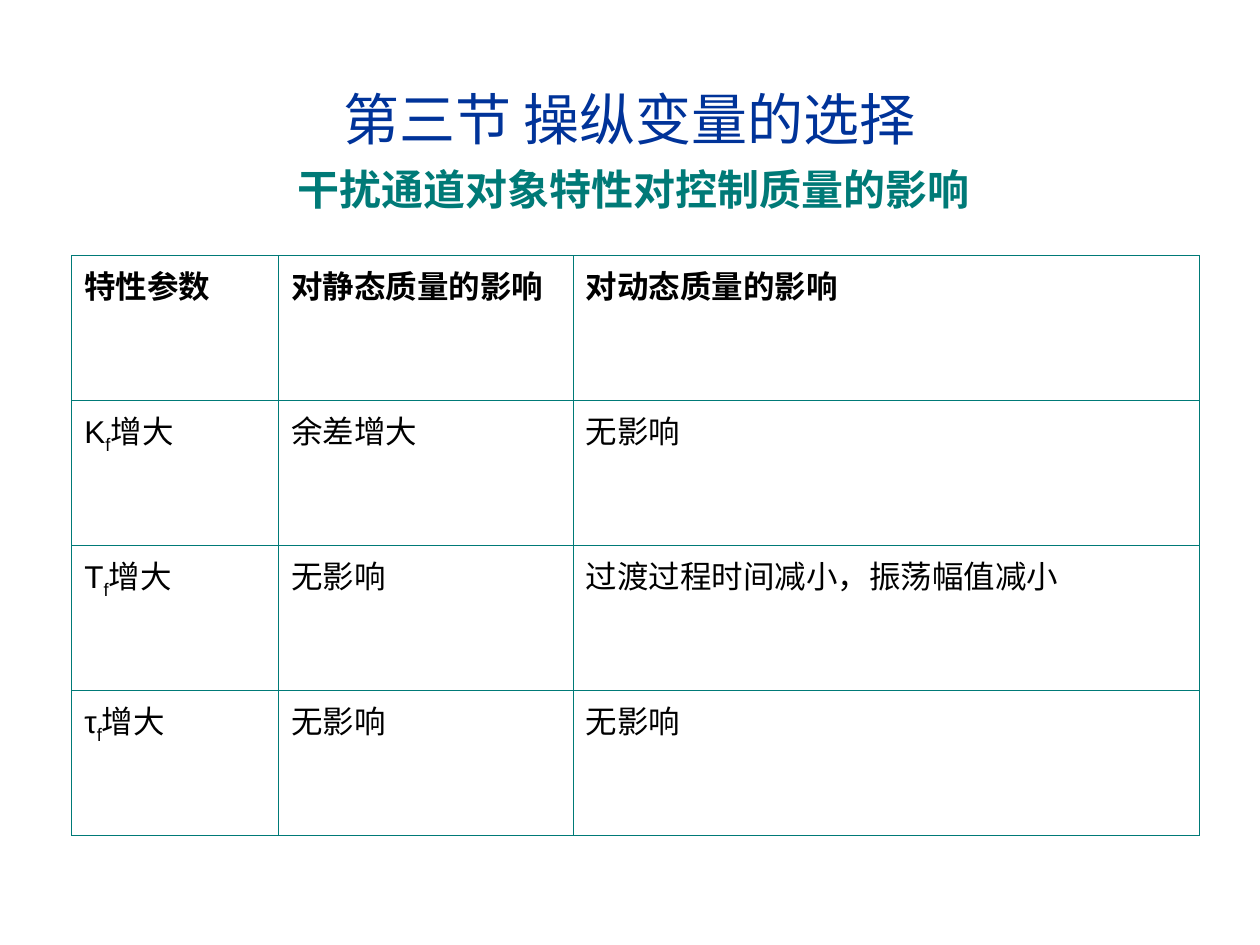
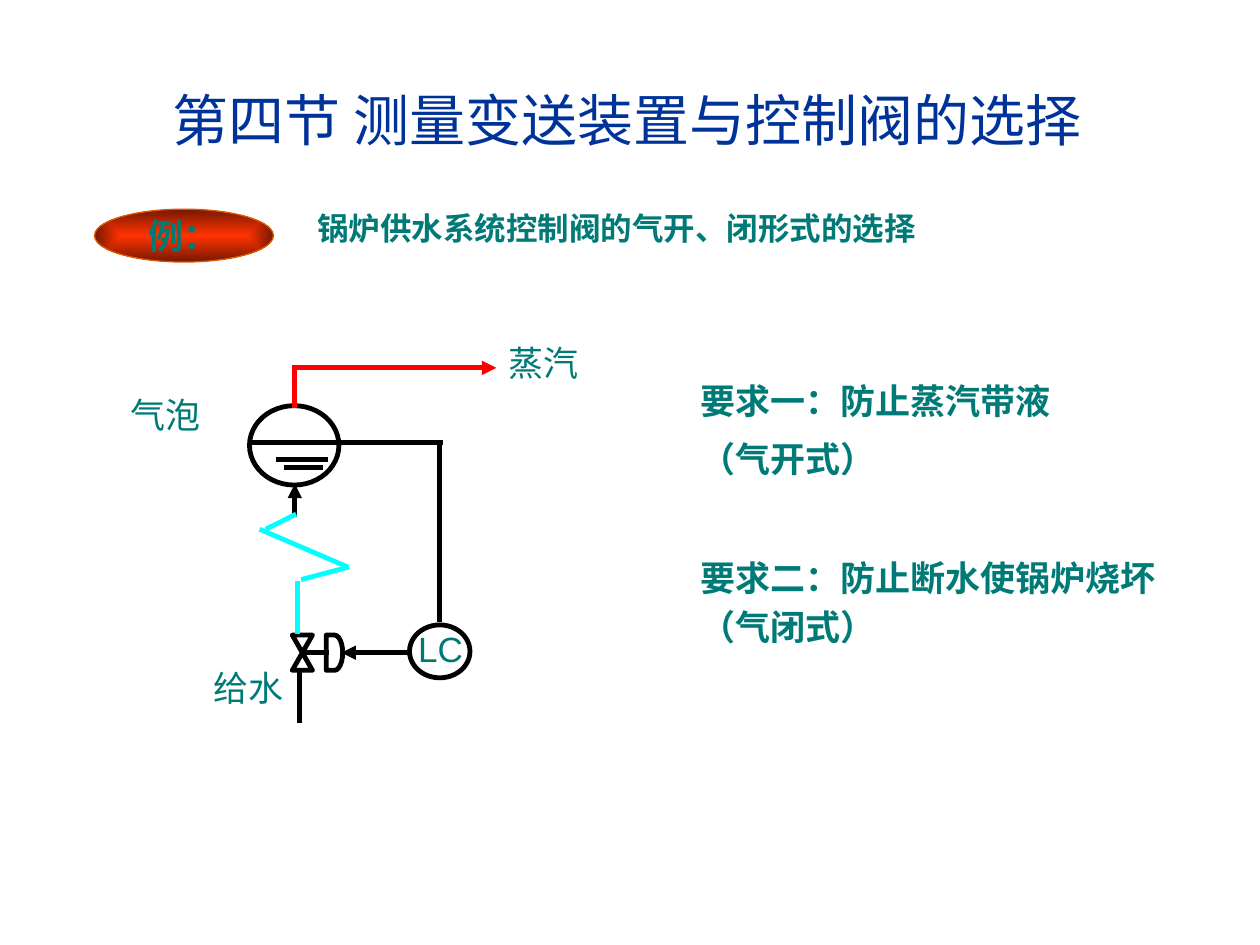
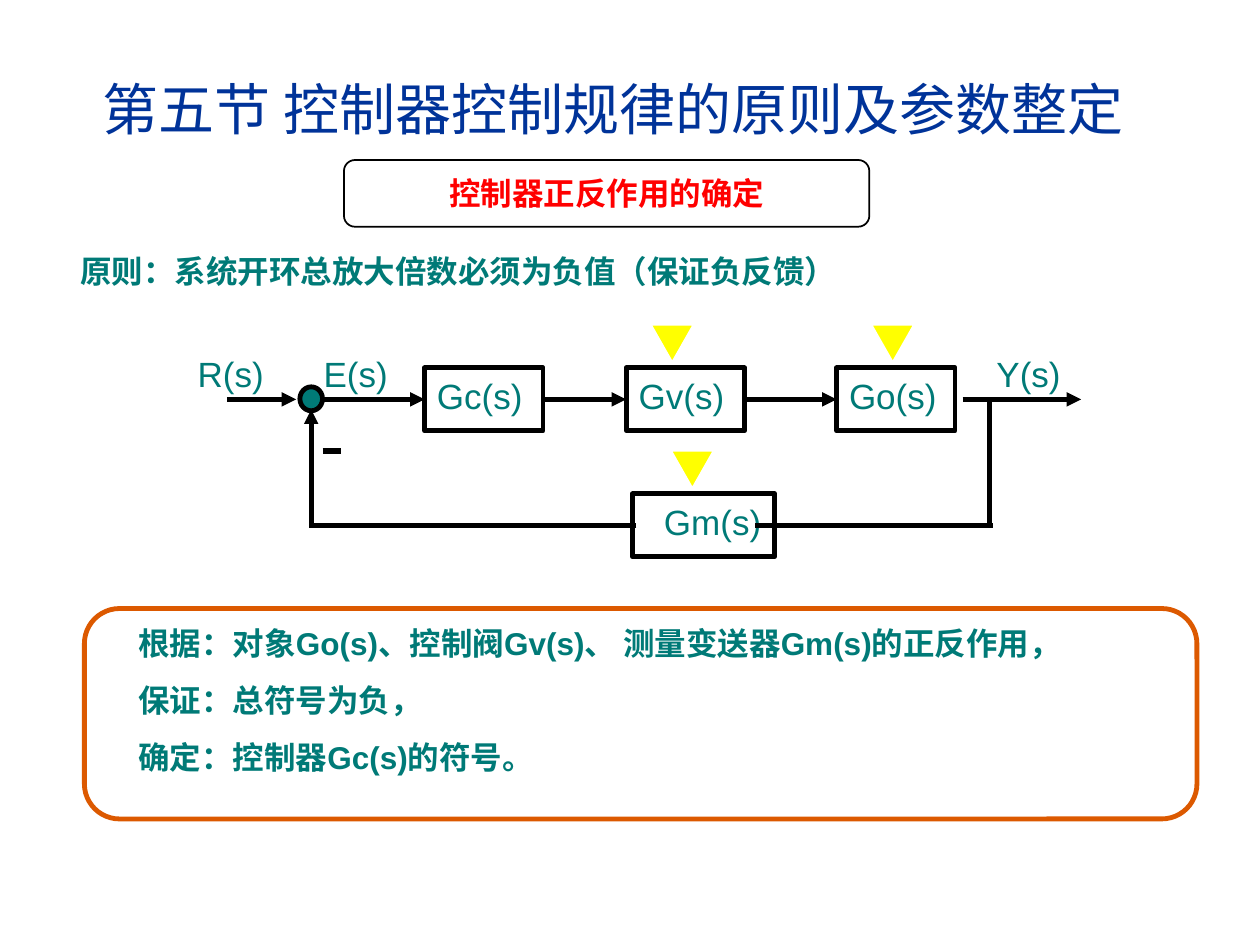
from lxml.etree import SubElement
from pptx import Presentation
from pptx.dml.color import RGBColor
from pptx.enum.shapes import MSO_CONNECTOR, MSO_SHAPE
from pptx.enum.text import MSO_ANCHOR, PP_ALIGN
from pptx.oxml import parse_xml
from pptx.oxml.ns import nsdecls, qn
from pptx.util import Inches, Pt

FONT = "Arial"
NAVY, TEAL, BLACK, WHITE = "003399", "007A77", "000000", "FFFFFF"
RED, CYAN, YELLOW, ORANGE = "FF0000", "00FFFF", "FFFF00", "DC5900"
GLOW, EMBER = "FF3300", "761800"
STROKE = 2.75

# Slide 1: a cell is a string, or a (symbol, subscript, rest) tuple
COLUMN_WIDTHS = [1.64, 2.34, 4.97]
ROW_HEIGHT = 1.15
EFFECTS = [
    ["特性参数", "对静态质量的影响", "对动态质量的影响"],
    [("K", "f", "增大"), "余差增大", "无影响"],
    [("T", "f", "增大"), "无影响", "过渡过程时间减小，振荡幅值减小"],
    [("τ", "f", "增大"), "无影响", "无影响"],
]

# Slide 2: shapes as (preset, left, top, width, height)
BOILER_SHAPES = [
    (MSO_SHAPE.OVAL, 1.98, 3.22, 0.71, 0.63),
    (MSO_SHAPE.FLOWCHART_COLLATE, 2.32, 5.04, 0.16, 0.28),
    (MSO_SHAPE.FLOWCHART_DELAY, 2.59, 5.04, 0.13, 0.28),
    (MSO_SHAPE.OVAL, 3.25, 4.96, 0.48, 0.42),
]
# Pipes as (x1, y1, x2, y2, colour, has arrowhead)
BOILER_PIPES = [
    (2, 3.51, 3.52, 3.51, BLACK, False),
    (2.19, 3.65, 2.6, 3.65, BLACK, False),
    (2.25, 3.71, 2.56, 3.71, BLACK, False),
    (2.34, 3.24, 2.34, 2.9, RED, False),
    (2.35, 2.92, 3.94, 2.92, RED, True),
    (2.34, 4.1, 2.34, 3.84, BLACK, True),
    (2.36, 5.03, 2.36, 4.61, CYAN, False),
    (2.39, 5.18, 2.61, 5.18, BLACK, False),
    (2.38, 5.74, 2.38, 5.3, BLACK, False),
    (2.39, 4.6, 2.77, 4.5, CYAN, False),
    (2.76, 4.5, 2.06, 4.2, CYAN, False),
    (2.11, 4.2, 2.35, 4.08, CYAN, False),
    (3.25, 5.18, 2.71, 5.18, BLACK, True),
    (3.49, 4.94, 3.49, 3.49, BLACK, False),
]
BOILER_LABELS = [
    ("蒸汽", 3.94, 2.66), ("气泡", 0.94, 3.07),
    ("给水", 1.6, 5.24), ("LC", 3.22, 4.93),
]
REQUIREMENTS = [
    ("要求一：防止蒸汽带液", 2.96), ("（气开式）", 3.42),
    ("要求二：防止断水使锅炉烧坏", 4.37), ("（气闭式）", 4.76),
]

# Slide 3
FORWARD_Y, FEEDBACK_Y = 3.17, 4.17
BLOCK_HEIGHT = 0.5
# name, left, width, middle, left inset, right inset
BLOCKS = [
    ("Gc(s)", 3.37, 0.94, FORWARD_Y, 0.1, 0.1),
    ("Gv(s)", 4.97, 0.94, FORWARD_Y, 0.1, 0.1),
    ("Go(s)", 6.64, 0.94, FORWARD_Y, 0.1, 0.1),
    ("Gm(s)", 5.02, 1.13, FEEDBACK_Y, 0.25, 0),
]
SIGNALS = [("R(s)", 1.47), ("E(s)", 2.47), ("Y(s)", 7.81)]
MARKERS = [(6.92, 2.58), (5.17, 2.58), (5.33, 3.58)]
LOOP_LINES = [
    (1.8, FORWARD_Y, 2.35, FORWARD_Y, True),
    (7.64, FORWARD_Y, 8.58, FORWARD_Y, True),
    (7.85, FORWARD_Y, 7.85, FEEDBACK_Y, False),
    (7.88, FEEDBACK_Y, 5.99, FEEDBACK_Y, False),
    (5.05, FEEDBACK_Y, 2.45, FEEDBACK_Y, False),
    (2.47, FEEDBACK_Y, 2.47, 3.25, True),
]
STEPS = [
    "根据：对象Go(s)、控制阀Gv(s)、 测量变送器Gm(s)的正反作用，",
    "保证：总符号为负，",
    "确定：控制器Gc(s)的符号。",
]


def rgb(colour):
    return RGBColor.from_string(colour)


def write(frame, lines, size=20, colour=TEAL, bold=False, align=PP_ALIGN.LEFT,
          anchor=MSO_ANCHOR.TOP, gap=0, left_inset=0.1, right_inset=0.1):
    """Fill a text frame; a line is a string or (symbol, subscript, rest)."""
    frame.word_wrap = True
    frame.vertical_anchor = anchor
    frame.margin_left, frame.margin_right = Inches(left_inset), Inches(right_inset)
    frame.margin_top = frame.margin_bottom = Inches(0.05)
    for number, line in enumerate(lines):
        para = frame.add_paragraph() if number else frame.paragraphs[0]
        para.alignment = align
        if number:
            para.space_before = Pt(gap)
        pieces = (line,) if isinstance(line, str) else line
        for position, piece in enumerate(pieces):
            span = para.add_run()
            span.text = piece
            span.font.name, span.font.size = FONT, Pt(size)
            span.font.bold = bold
            span.font.color.rgb = rgb(colour)
            if position == 1:
                span.font._element.set("baseline", "-25000")


def add_text(page, lines, left, top, width, height=0.44, **style):
    box = page.shapes.add_textbox(*map(Inches, (left, top, width, height)))
    write(box.text_frame, [lines] if isinstance(lines, str) else lines, **style)


def add_title(page, text, left, top, width, height, **style):
    add_text(page, text, left, top, width, height, size=32, colour=NAVY,
             align=PP_ALIGN.CENTER, **style)


def add_outline(page, preset, left, top, width, height, line=BLACK,
                weight=STROKE, fill=None):
    shape = page.shapes.add_shape(preset, *map(Inches, (left, top, width, height)))
    shape.shadow.inherit = False
    shape.line.color.rgb = rgb(line)
    shape.line.width = Pt(weight)
    if fill:
        shape.fill.solid()
        shape.fill.fore_color.rgb = rgb(fill)
    else:
        shape.fill.background()
    return shape


def add_line(page, x1, y1, x2, y2, colour=BLACK, arrow=False, weight=STROKE):
    line = page.shapes.add_connector(
        MSO_CONNECTOR.STRAIGHT, *map(Inches, (x1, y1, x2, y2)))
    line.line.color.rgb = rgb(colour)
    line.line.width = Pt(weight)
    if arrow:
        SubElement(line.line._get_or_add_ln(), qn("a:tailEnd"), type="triangle")
    SubElement(line._element.spPr, qn("a:effectLst"))
    return line


def glow_from_centre(shape, inner, outer):
    """Give a shape a gradient that runs from its centre to its edges."""
    properties = shape._element.spPr
    properties.replace(properties.find(qn("a:noFill")), parse_xml(
        f'<a:gradFill {nsdecls("a")} rotWithShape="1"><a:gsLst>'
        f'<a:gs pos="0"><a:srgbClr val="{inner}"/></a:gs>'
        f'<a:gs pos="100000"><a:srgbClr val="{outer}"/></a:gs></a:gsLst>'
        '<a:path path="rect"><a:fillToRect l="50000" t="50000" r="50000" '
        'b="50000"/></a:path></a:gradFill>'))


def add_borders(cell, colour, weight):
    properties = cell._tc.get_or_add_tcPr()
    for position, side in enumerate(("lnL", "lnR", "lnT", "lnB")):
        properties.insert(position, parse_xml(
            f'<a:{side} {nsdecls("a")} w="{Pt(weight)}"><a:solidFill>'
            f'<a:srgbClr val="{colour}"/></a:solidFill></a:{side}>'))


def build_disturbance_slide(page):
    add_title(page, "第三节 操纵变量的选择", 0.33, 0.31, 9.34, 1.25,
              anchor=MSO_ANCHOR.MIDDLE)
    add_text(page, "干扰通道对象特性对控制质量的影响", 2.11, 1.25, 5.84, 0.5,
             size=24, bold=True, align=PP_ALIGN.CENTER)
    table = page.shapes.add_table(
        len(EFFECTS), len(COLUMN_WIDTHS), Inches(0.57), Inches(2.03),
        Inches(sum(COLUMN_WIDTHS)), Inches(ROW_HEIGHT * len(EFFECTS))).table
    table.first_row = table.horz_banding = False
    for column, width in zip(table.columns, COLUMN_WIDTHS):
        column.width = Inches(width)
    for row_number, row in enumerate(EFFECTS):
        table.rows[row_number].height = Inches(ROW_HEIGHT)
        for column_number, content in enumerate(row):
            cell = table.cell(row_number, column_number)
            write(cell.text_frame, [content], size=18, colour=BLACK,
                  bold=row_number == 0)
            cell.fill.background()
            add_borders(cell, TEAL, 0.45)


def build_valve_slide(page):
    for preset, *place in BOILER_SHAPES:
        add_outline(page, preset, *place)
    for pipe in BOILER_PIPES:
        add_line(page, *pipe)
    for text, left, top in BOILER_LABELS:
        add_text(page, text, left, top, 0.9)
    badge = add_outline(page, MSO_SHAPE.OVAL, 0.75, 1.66, 1.42, 0.42,
                        line=ORANGE, weight=0.75)
    glow_from_centre(badge, GLOW, EMBER)
    add_text(page, "例：", 1.08, 1.65, 1, bold=True)
    add_text(page, "锅炉供水系统控制阀的气开、闭形式的选择", 2.42, 1.61, 5.26, 0.4,
             size=18, bold=True)
    for text, top in REQUIREMENTS:
        add_text(page, text, 5.46, top, 3.95, bold=True)
    add_title(page, "第四节 测量变送装置与控制阀的选择", 0.31, 0.63, 9.34, 1.25)


def build_controller_slide(page):
    add_title(page, "第五节 控制器控制规律的原则及参数整定", 0.44, 0.54, 8.86, 0.87)
    heading = add_outline(page, MSO_SHAPE.FLOWCHART_ALTERNATE_PROCESS,
                          2.73, 1.27, 4.17, 0.53, weight=1)
    write(heading.text_frame, ["控制器正反作用的确定"], size=18, colour=RED,
          bold=True, align=PP_ALIGN.CENTER, anchor=MSO_ANCHOR.MIDDLE)
    add_text(page, "原则：系统开环总放大倍数必须为负值（保证负反馈）",
             0.54, 1.95, 8.35, 0.4, size=18, bold=True)
    for left, top in MARKERS:
        marker = add_outline(page, MSO_SHAPE.ISOSCELES_TRIANGLE, left, top,
                             0.33, 0.29, line=WHITE, weight=0.75, fill=YELLOW)
        marker.rotation = 180

    blocks = {}
    for name, left, width, middle, left_inset, right_inset in BLOCKS:
        blocks[name] = add_outline(page, MSO_SHAPE.RECTANGLE, left,
                                   middle - BLOCK_HEIGHT / 2, width, BLOCK_HEIGHT)
        write(blocks[name].text_frame, [name],
              left_inset=left_inset, right_inset=right_inset)
    for *ends, arrow in LOOP_LINES:
        add_line(page, *ends, arrow=arrow)
    source = None
    for name in ("Gc(s)", "Gv(s)", "Go(s)"):
        link = add_line(page, 2.56, FORWARD_Y, 3.37, FORWARD_Y, arrow=True)
        if source:
            link.begin_connect(source, 3)
        link.end_connect(blocks[name], 1)
        source = blocks[name]
    for text, left in SIGNALS:
        add_text(page, text, left, 2.75, 0.8, 0.5)
    add_outline(page, MSO_SHAPE.OVAL, 2.38, 3.07, 0.18, 0.19, fill=TEAL)
    add_line(page, 2.56, 3.58, 2.71, 3.58, weight=3)

    add_text(page, STEPS, 1, 4.9, 8.58, 1.32, size=18, bold=True, gap=11.2)
    add_outline(page, MSO_SHAPE.ROUNDED_RECTANGLE, 0.67, 4.83, 8.83, 1.67,
                line=ORANGE)


def main():
    deck = Presentation()
    deck.slide_width, deck.slide_height = Inches(10), Inches(7.5)
    for build in (build_disturbance_slide, build_valve_slide, build_controller_slide):
        build(deck.slides.add_slide(deck.slide_layouts[6]))
    deck.save("out.pptx")


if __name__ == "__main__":
    main()
